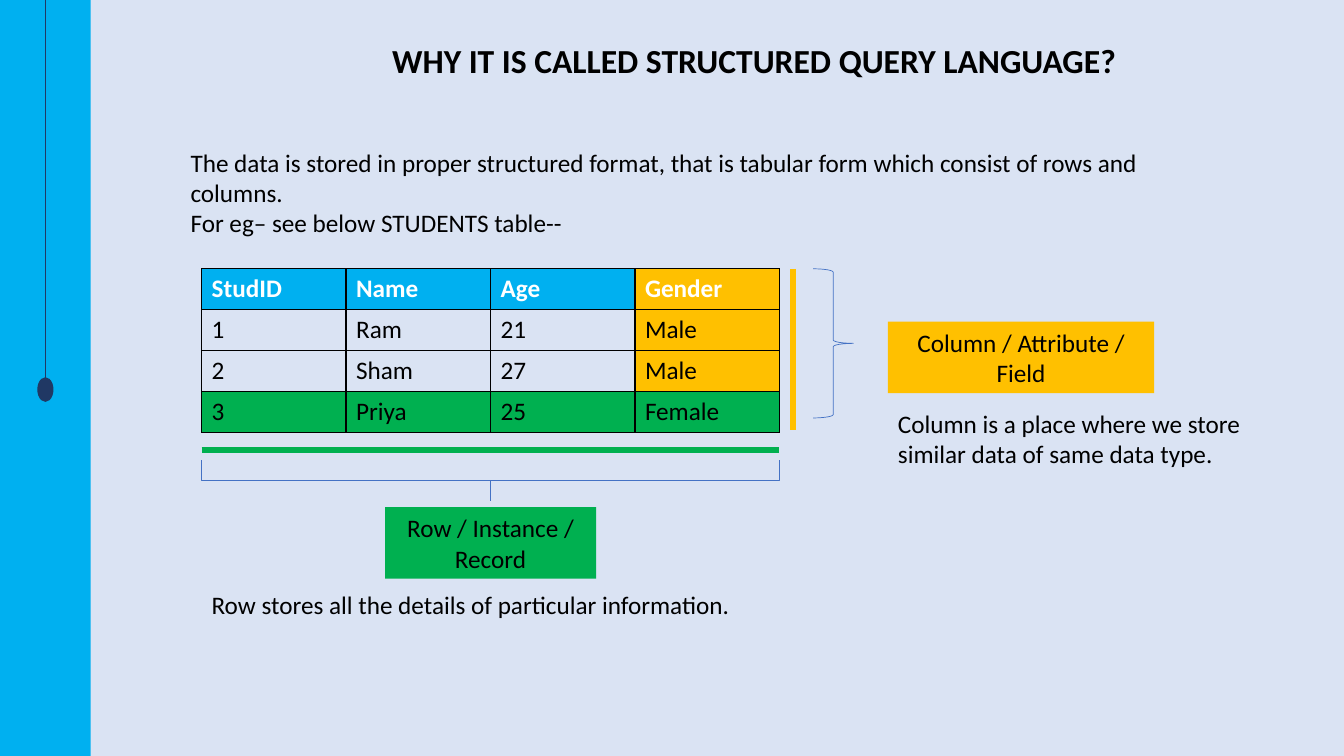
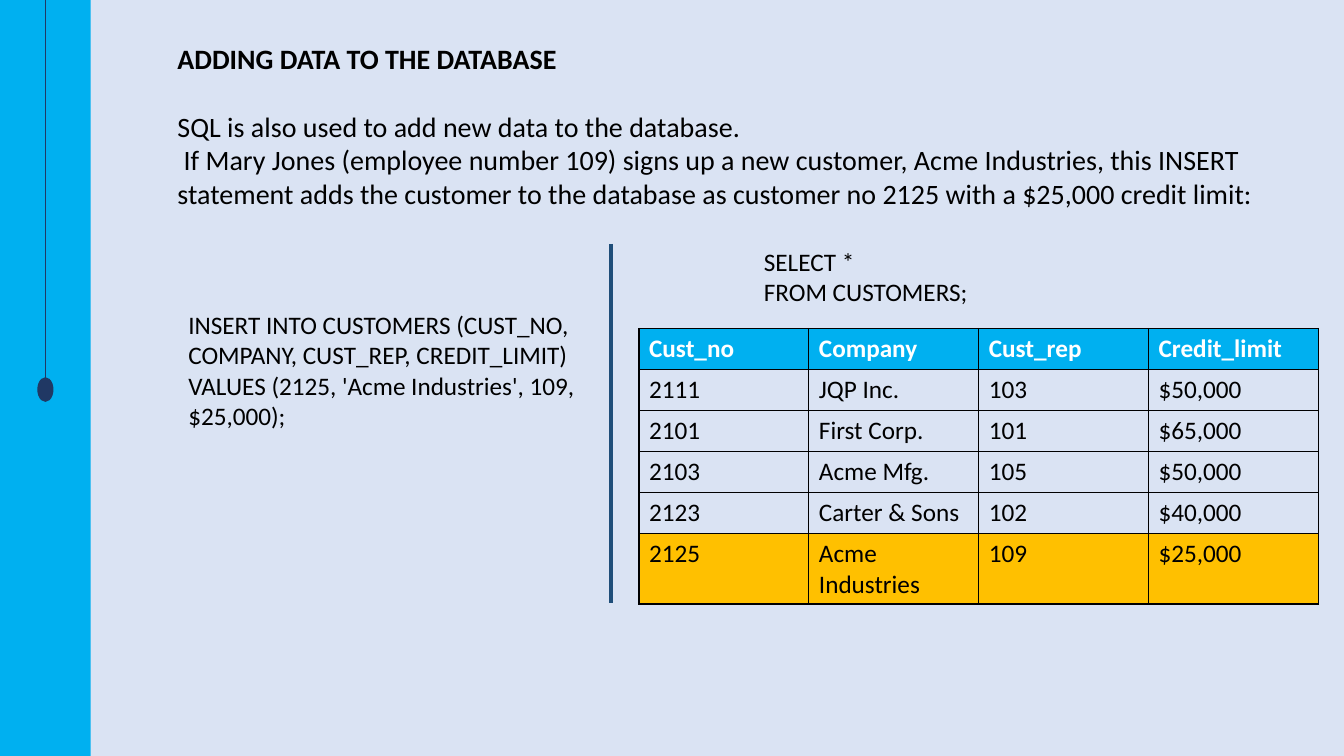
from dataclasses import dataclass

from lxml.etree import SubElement
from pptx import Presentation
from pptx.dml.color import RGBColor
from pptx.enum.shapes import MSO_CONNECTOR as Connector, MSO_SHAPE as Preset
from pptx.enum.text import MSO_ANCHOR as Anchor, MSO_AUTO_SIZE as AutoSize, PP_ALIGN as Align
from pptx.oxml import parse_xml
from pptx.oxml.ns import nsdecls, qn
from pptx.util import Emu, Pt

CELL = 304800
COLUMNS, ROWS = 40, 22.5


@dataclass(frozen=True)
class Theme:
    font: str = "Calibri"
    background: str = "DAE3F3"
    band: str = "00B0F0"
    pendulum: str = "203864"
    divider: str = "1F4E79"
    brace: str = "4472C4"
    column: str = "FFC000"
    row: str = "00B050"
    text: str = "000000"
    header_text: str = "FFFFFF"
    heading: int = 24
    lead: int = 20
    body: int = 18
    hairline: float = 0.5
    border: float = 1
    rule: float = 3
    bar: float = 4.5


THEME = Theme()


@dataclass(frozen=True)
class Box:
    left: float
    top: float
    width: float
    height: float

    def inner(self, left, top, width, height):
        return Box(self.left + left, self.top + top, width, height)

    def emu(self):
        return [grid(n) for n in (self.left, self.top, self.width, self.height)]


def grid(cells):
    return Emu(round(cells * CELL))


def rgb(value):
    return RGBColor.from_string(value)


def write(frame, paragraphs, size=THEME.body, color=THEME.text, bold=False, align=Align.LEFT):
    for index, words in enumerate(paragraphs):
        paragraph = frame.paragraphs[0] if index == 0 else frame.add_paragraph()
        paragraph.alignment = align
        paragraph.space_before = Pt(0)
        run = paragraph.add_run()
        run.text = words
        run.font.name = THEME.font
        run.font.size = Pt(size)
        run.font.bold = bold
        run.font.color.rgb = rgb(color)


def fill_placeholder(holder, box, paragraphs, size, bold=False):
    holder.left, holder.top, holder.width, holder.height = box.emu()
    frame = holder.text_frame
    frame.word_wrap = True
    frame.auto_size = AutoSize.NONE
    frame.vertical_anchor = Anchor.TOP
    write(frame, paragraphs, size, bold=bold)
    for paragraph in frame.paragraphs:
        properties = paragraph._p.get_or_add_pPr()
        properties.set("marL", "0")
        properties.set("indent", "0")
        SubElement(properties, qn("a:buNone"))


def add_text(slide, box, paragraphs):
    frame = slide.shapes.add_textbox(*box.emu()).text_frame
    frame.word_wrap = True
    write(frame, paragraphs)


def add_figure(slide, preset, box, fill=None, line=None, weight=THEME.hairline):
    figure = slide.shapes.add_shape(preset, *box.emu())
    figure.shadow.inherit = False
    if fill:
        figure.fill.solid()
        figure.fill.fore_color.rgb = rgb(fill)
    else:
        figure.fill.background()
    if line:
        figure.line.color.rgb = rgb(line)
        figure.line.width = Pt(weight)
    else:
        figure.line.fill.background()
    return figure


def add_label(slide, box, words, fill):
    frame = add_figure(slide, Preset.RECTANGLE, box, fill).text_frame
    frame.word_wrap = True
    frame.vertical_anchor = Anchor.MIDDLE
    write(frame, [words], align=Align.CENTER)


def add_line(slide, start, end, color, weight):
    line = slide.shapes.add_connector(Connector.STRAIGHT, *map(grid, start + end))
    line.line.color.rgb = rgb(color)
    line.line.width = Pt(weight)
    SubElement(line._element.spPr, qn("a:effectLst"))
    return line


def border_cell(cell):
    properties = cell._tc.get_or_add_tcPr()
    for index, side in enumerate(("lnL", "lnR", "lnT", "lnB")):
        properties.insert(index, parse_xml(
            f'<a:{side} {nsdecls("a")} w="{Pt(THEME.border)}"><a:solidFill>'
            f'<a:srgbClr val="{THEME.text}"/></a:solidFill></a:{side}>'))


def add_records(slide, box, records, heights, shade):
    table = slide.shapes.add_table(len(records), len(records[0]), *box.emu()).table
    table.first_row = table.horz_banding = False
    for row, (record, height) in enumerate(zip(records, heights)):
        table.rows[row].height = grid(height)
        for column, value in enumerate(record):
            cell = table.cell(row, column)
            fill = shade(row, column)
            if fill:
                cell.fill.solid()
                cell.fill.fore_color.rgb = rgb(fill)
            else:
                cell.fill.background()
            border_cell(cell)
            header = row == 0
            write(cell.text_frame, [value], bold=header,
                  color=THEME.header_text if header else THEME.text)


def add_side_band(slide, box):
    add_figure(slide, Preset.RECTANGLE, box, THEME.band)
    middle = box.left + box.width / 2
    drop = box.top + box.height / 2
    bob = add_figure(slide, Preset.OVAL, Box(middle - 0.22, drop, 0.44, 0.69),
                     THEME.pendulum, THEME.pendulum, THEME.border)
    cord = add_line(slide, (middle, box.top), (middle, drop), THEME.pendulum, THEME.hairline)
    cord.end_connect(bob, 0)


def new_slide(deck, title, title_box, title_size, body, body_box, body_size):
    slide = deck.slides.add_slide(deck.slide_layouts[1])
    add_side_band(slide, Box(0, 0, 2.7, ROWS))
    fill_placeholder(slide.shapes.title, title_box, [title], title_size, bold=True)
    fill_placeholder(slide.placeholders[1], body_box, body, body_size)
    return slide


def explain_column(slide, box):
    add_line(slide, (box.left + 0.4, box.top), (box.left + 0.4, box.top + box.height),
             THEME.column, THEME.bar)
    add_figure(slide, Preset.RIGHT_BRACE, box.inner(1, 0, 1.2, 4.44), line=THEME.brace)
    add_label(slide, box.inner(3.23, 1.57, 7.92, 2.13), "Column / Attribute / Field", THEME.column)
    add_text(slide, box.inner(3.23, 4, 10.89, 2.13),
             ["Column is a place where we store similar data of same data type."])


def explain_row(slide, box):
    add_line(slide, (box.left, box.top + 0.6), (box.left + box.width, box.top + 0.6),
             THEME.row, THEME.bar)
    depth, center = 1.2, box.width / 2
    brace = add_figure(
        slide, Preset.RIGHT_BRACE,
        box.inner(center - depth / 2, 0.9 + depth / 2 - center, depth, box.width),
        line=THEME.brace)
    brace.rotation = 90
    brace.adjustments[0] = 0
    brace.adjustments[1] = 0.5
    add_label(slide, box.inner(center - 3.14, 2.29, 6.28, 2.13), "Row / Instance / Record", THEME.row)
    add_text(slide, box.inner(0, 4.6, box.width, 1.2),
             ["Row stores all the details of particular information."])


def students_slide(deck):
    slide = new_slide(
        deck, "WHY IT IS CALLED STRUCTURED QUERY LANGUAGE?",
        Box(11.37, 1.05, 22.95, 1.5), THEME.heading,
        ["The data is stored in proper structured format, that is tabular form which consist of rows and columns.",
         "For eg– see below STUDENTS table--"],
        Box(5.37, 4.23, 31.14, 3.03), THEME.body)
    students = [
        ("StudID", "Name", "Age", "Gender"),
        ("1", "Ram", "21", "Male"),
        ("2", "Sham", "27", "Male"),
        ("3", "Priya", "25", "Female"),
    ]

    def shade(row, column):
        if row == 3:
            return THEME.row
        if column == 3:
            return THEME.column
        return THEME.band if row == 0 else None

    box = Box(6, 8, 17.2, 4.8)
    add_records(slide, box, students, [1.2] * 4, shade)
    explain_column(slide, box.inner(box.width, 0, 14, box.height))
    explain_row(slide, box.inner(0, box.height, box.width, 5.8))


def show_query(slide, box):
    add_text(slide, box.inner(3.42, 0, 11.82, 2.13), ["SELECT *", "FROM CUSTOMERS;"])
    customers = [
        ("Cust_no", "Company", "Cust_rep", "Credit_limit"),
        ("2111", "JQP Inc.", "103", "$50,000"),
        ("2101", "First Corp.", "101", "$65,000"),
        ("2103", "Acme Mfg.", "105", "$50,000"),
        ("2123", "Carter & Sons", "102", "$40,000"),
        ("2125", "Acme Industries", "109", "$25,000"),
    ]
    fills = {0: THEME.band, 5: THEME.column}
    add_records(slide, box.inner(0, 2.61, box.width, 8.16), customers,
                [1.22] * 5 + [2.06], lambda row, column: fills.get(row))


def insert_slide(deck):
    slide = new_slide(
        deck, "ADDING DATA TO THE DATABASE",
        Box(4.98, 1.08, 32.7, 1.3), THEME.lead,
        ["SQL is also used to add new data to the database.",
         " If Mary Jones (employee number 109) signs up a new customer, Acme Industries, this INSERT "
         "statement adds the customer to the database as customer no 2125 with a $25,000 credit limit:"],
        Box(4.98, 3.1, 32.7, 3.3), THEME.lead)
    add_text(slide, Box(5.31, 9.06, 12.42, 3.93),
             ["INSERT INTO CUSTOMERS (CUST_NO, COMPANY, CUST_REP, CREDIT_LIMIT)",
              "VALUES (2125, 'Acme Industries', 109, $25,000);"])
    add_line(slide, (18.18, 7.26), (18.18, 17.94), THEME.divider, THEME.rule)
    show_query(slide, Box(19.02, 7.17, 20.22, 10.77))


def main():
    deck = Presentation()
    deck.slide_width, deck.slide_height = grid(COLUMNS), grid(ROWS)
    backdrop = deck.slide_master.background.fill
    backdrop.solid()
    backdrop.fore_color.rgb = rgb(THEME.background)
    students_slide(deck)
    insert_slide(deck)
    deck.save("out.pptx")


if __name__ == "__main__":
    main()
